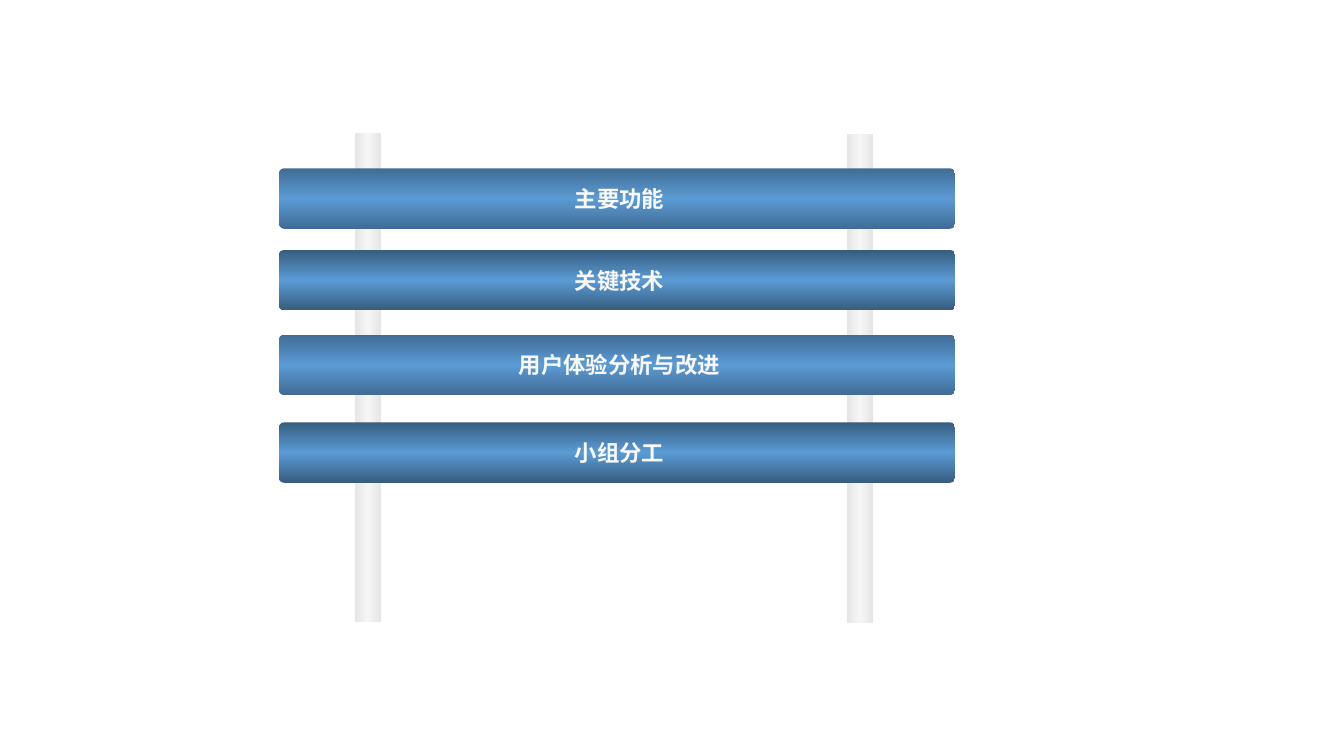
"""Build an agenda slide with four signboard bars on two posts."""
import copy
from dataclasses import dataclass

import pptx
import pptx.dml.color
import pptx.enum.shapes
import pptx.enum.text
import pptx.oxml.ns
import pptx.util

AGENDA = [
    (" 主要功能", 1.67),
    (" 关键技术", 2.48),
    (" 用户体验分析与改进", 3.32),
    (" 小组分工", 4.19),
]
POSTS = [(8.4, 1.33), (3.52, 1.32)]
POST_SIZE = (0.26, 4.85)
BAR_LEFT = 2.77
BAR_SIZE = (6.7, 0.6)
SLIDE_SIZE = (13.33, 7.5)


@dataclass(frozen=True)
class Theme:
    font: str = "Arial"
    size: int = 16
    text: str = "F8F8F8"
    post: tuple = ("E7E6E6", "F6F5F5")
    bars: tuple = (("406C95", "5B9BD5"), ("365C7E", "5B9BD5"))


THEME = Theme()
SHAPES = pptx.enum.shapes.MSO_SHAPE


def rgb(value):
    return pptx.dml.color.RGBColor.from_string(value)


def add_panel(slide, kind, position, size, colors, angle):
    box = [pptx.util.Inches(length) for length in (*position, *size)]
    shape = slide.shapes.add_shape(kind, *box)
    shape.shadow.inherit = False
    shape.line.fill.background()
    shape.fill.gradient()
    shape.fill.gradient_angle = angle
    stop_list = shape._element.spPr.find(".//" + pptx.oxml.ns.qn("a:gsLst"))
    stop_list.insert(1, copy.deepcopy(stop_list[0]))
    edge, middle = colors
    stops = zip(shape.fill.gradient_stops, (0, 0.5, 1), (edge, middle, edge))
    for stop, place, color in stops:
        stop.position = place
        stop.color.rgb = rgb(color)
    return shape


def write_text(shape, text, *, size, color, font, bold=False):
    frame = shape.text_frame
    frame.word_wrap = False
    frame.vertical_anchor = pptx.enum.text.MSO_ANCHOR.MIDDLE
    paragraph = frame.paragraphs[0]
    paragraph.alignment = pptx.enum.text.PP_ALIGN.CENTER
    run = paragraph.add_run()
    run.text = text
    run.font.name = font
    run.font.size = pptx.util.Pt(size)
    run.font.bold = bold
    run.font.color.rgb = rgb(color)


def main():
    presentation = pptx.Presentation()
    presentation.slide_width, presentation.slide_height = map(pptx.util.Inches, SLIDE_SIZE)
    slide = presentation.slides.add_slide(presentation.slide_layouts[6])

    for position in POSTS:
        add_panel(slide, SHAPES.RECTANGLE, position, POST_SIZE, THEME.post, 0)

    for index, (title, top) in enumerate(AGENDA):
        colors = THEME.bars[index % len(THEME.bars)]
        bar = add_panel(slide, SHAPES.ROUNDED_RECTANGLE, (BAR_LEFT, top), BAR_SIZE, colors, 270)
        bar.adjustments[0] = 0.08
        write_text(bar, title, size=THEME.size, color=THEME.text, font=THEME.font, bold=True)

    presentation.save("out.pptx")


if __name__ == "__main__":
    main()
